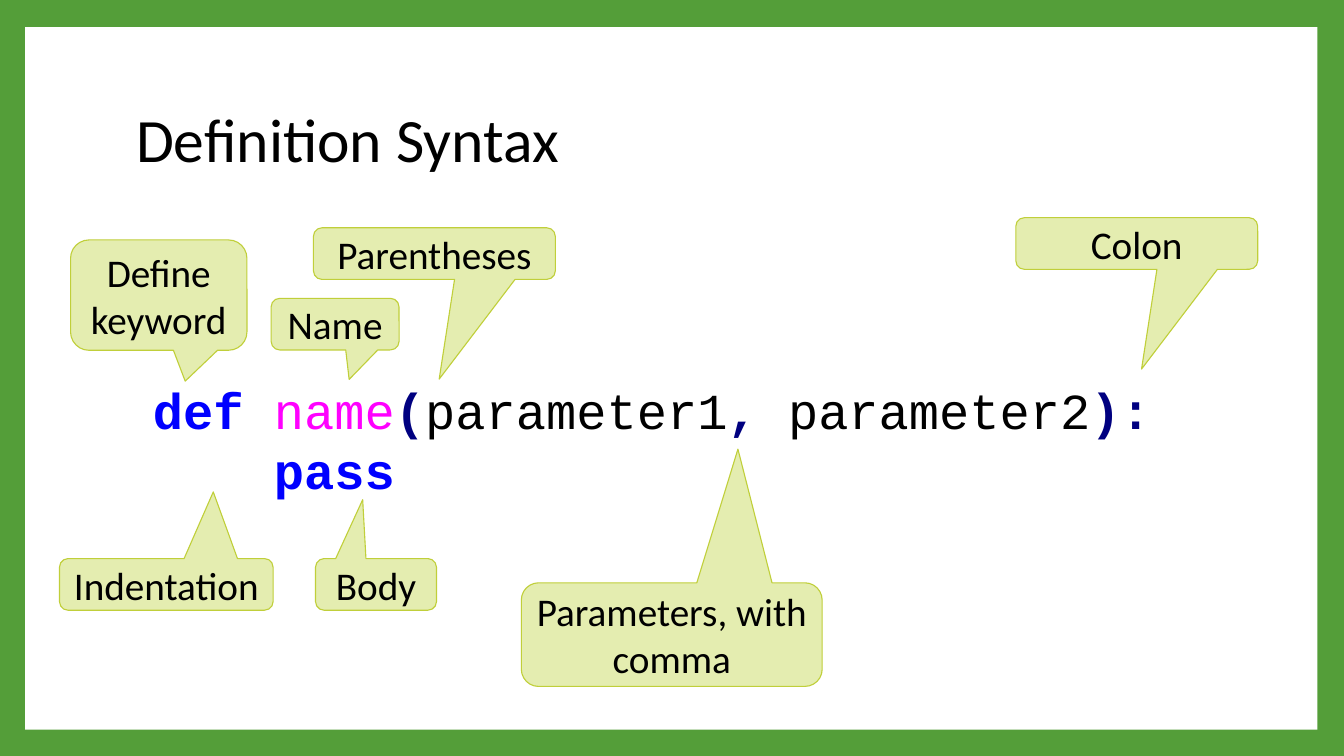
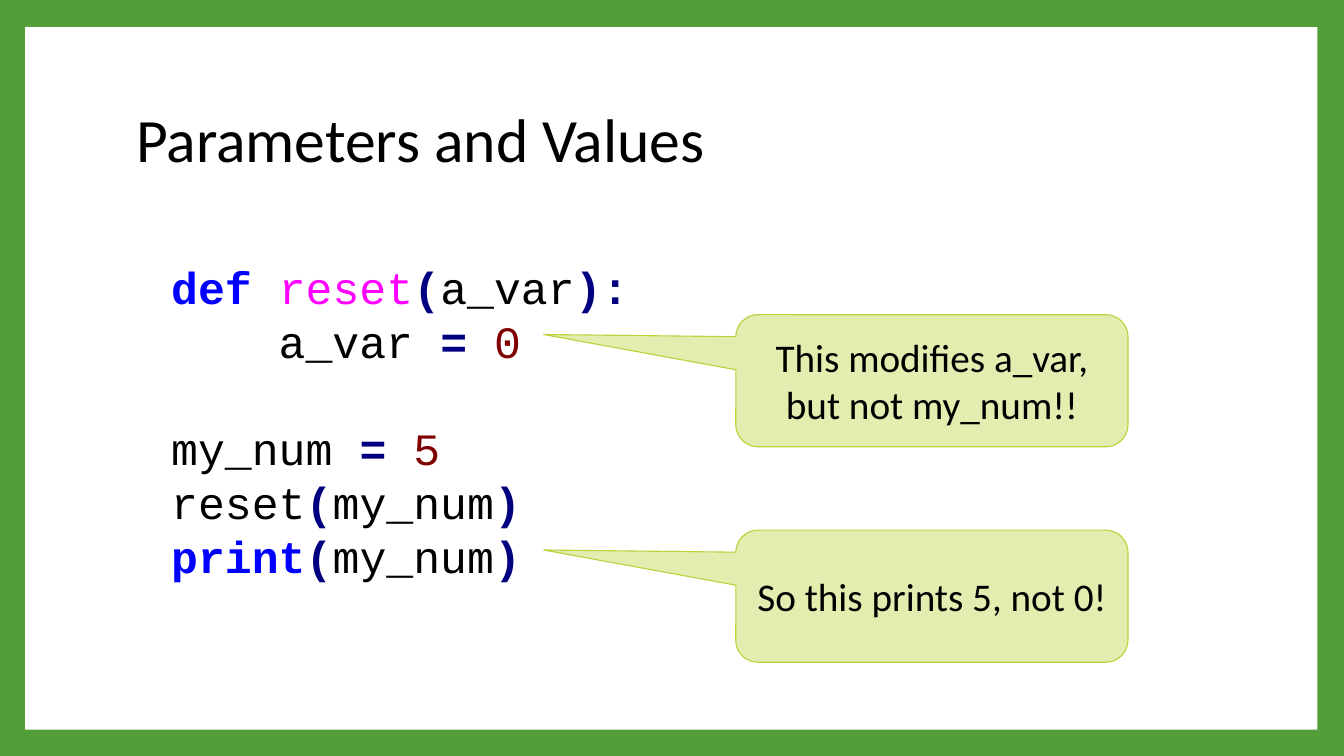
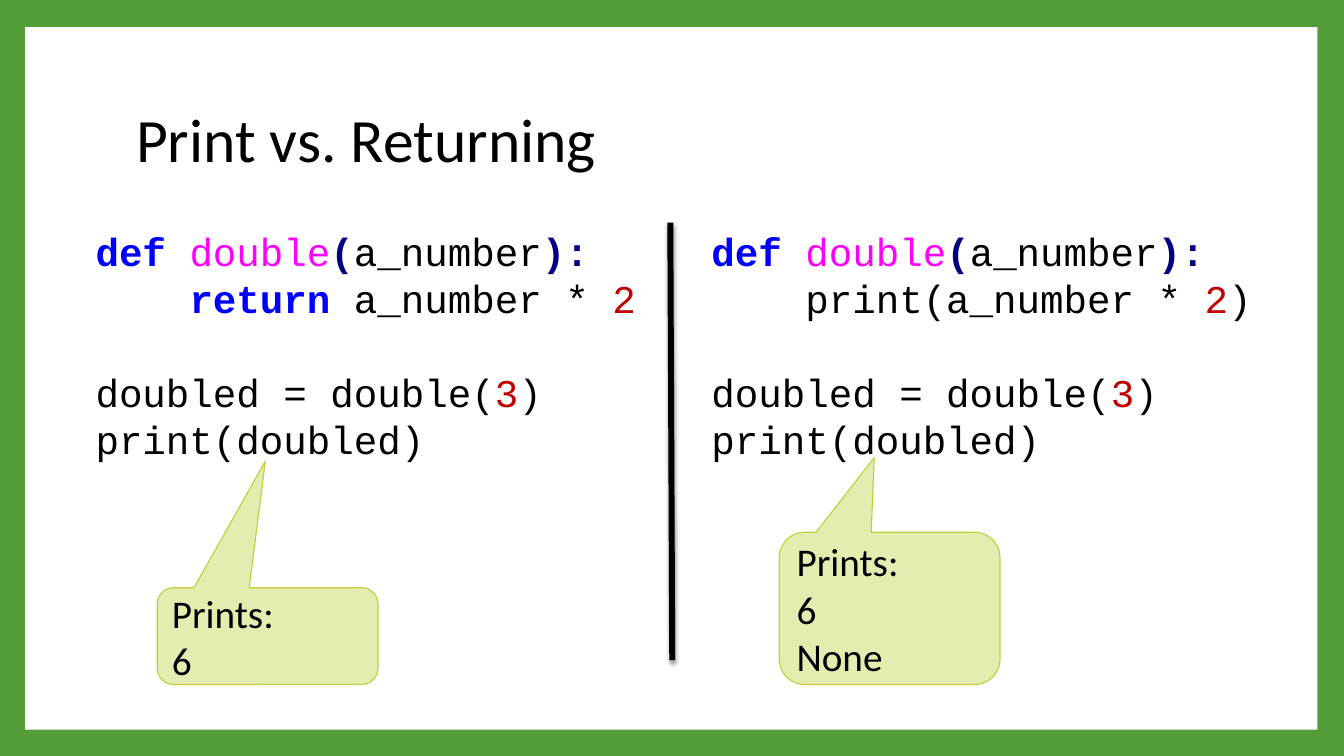
from lxml import etree
from pptx import Presentation
from pptx.dml.color import RGBColor
from pptx.enum import shapes, text
from pptx.oxml import parse_xml
from pptx.util import Pt

GREEN = RGBColor(0x54, 0x9E, 0x39)
PALE_GREEN = RGBColor(0xE4, 0xED, 0xB0)
LIME = RGBColor(0xC0, 0xCF, 0x3A)
WHITE = RGBColor(0xFF, 0xFF, 0xFF)
BLACK = RGBColor(0x00, 0x00, 0x00)
BLUE = RGBColor(0x00, 0x00, 0xFF)
MAGENTA = RGBColor(0xFF, 0x00, 0xFF)
NAVY = RGBColor(0x00, 0x00, 0x80)
MAROON = RGBColor(0x80, 0x00, 0x00)
RED = RGBColor(0xC0, 0x00, 0x00)

CODE_FONT = "Courier New"
CODE_LINE_HEIGHT = 1.19
LEFT, CENTER = text.PP_ALIGN.LEFT, text.PP_ALIGN.CENTER


def write(frame, lines, size=28, font="Calibri", align=LEFT, spacing=None):
    """Write lines of (text, colour) spans; navy and blue are bold, an empty line is a gap."""
    frame.word_wrap = True
    gap, first = 0, True
    for line in lines:
        if not line:
            gap = size * CODE_LINE_HEIGHT
            continue
        para = frame.paragraphs[0] if first else frame.add_paragraph()
        first = False
        para.alignment = align
        para.line_spacing = spacing
        para.space_before = Pt(gap)
        gap = 0
        for words, colour in line:
            span = para.add_run()
            span.text = words
            span.font.name = font
            span.font.size = Pt(size)
            span.font.bold = colour in (BLUE, NAVY)
            span.font.color.rgb = colour


def add_callout(page, words, place, tip, align=CENTER):
    """Add a speech bubble; tip is the offset from its centre as a share of its size."""
    bubble = page.shapes.add_shape(
        shapes.MSO_SHAPE.ROUNDED_RECTANGULAR_CALLOUT, *map(Pt, place))
    bubble.adjustments[0], bubble.adjustments[1] = tip
    bubble.shadow.inherit = False
    bubble.fill.solid()
    bubble.fill.fore_color.rgb = PALE_GREEN
    bubble.line.color.rgb = LIME
    bubble.line.width = Pt(0.79)
    bubble.text_frame.vertical_anchor = text.MSO_ANCHOR.MIDDLE
    write(bubble.text_frame, [[(line, BLACK)] for line in words.split("\n")], align=align)


deck = Presentation()
deck.slide_width, deck.slide_height = Pt(960), Pt(540)

# Shared look: green frame, white panel, title place
background = deck.slide_master.background.fill
background.solid()
background.fore_color.rgb = GREEN
layout = deck.slide_layouts.get_by_name("Title Only")
heading = layout.placeholders[0]
heading.left, heading.top, heading.width, heading.height = map(Pt, (90, 48.2, 777.6, 106.6))

pages = []
for title in ("Definition Syntax", "Parameters and Values", "Print vs. Returning"):
    page = deck.slides.add_slide(layout)
    page.shapes.title.text_frame.vertical_anchor = text.MSO_ANCHOR.MIDDLE
    write(page.shapes.title.text_frame, [[(title, BLACK)]], size=44, spacing=0.9)
    pages.append(page)
syntax_page, values_page, return_page = pages

panel = syntax_page.shapes.add_shape(
    shapes.MSO_SHAPE.RECTANGLE, Pt(18), Pt(19.4), Pt(923), Pt(501.8))
panel.shadow.inherit = False
panel.fill.solid()
panel.fill.fore_color.rgb = WHITE
panel.line.fill.background()
layout.shapes.element.insert(2, panel.element)  # moves the panel to the layout

# Code listings
syntax_code = [
    [("def", BLUE), (" ", BLACK), ("name", MAGENTA), ("(", NAVY), ("parameter1", BLACK),
     (",", NAVY), (" parameter2", BLACK), ("):", NAVY)],
    [("    ", BLACK), ("pass", BLUE)],
]
values_code = [
    [("def ", BLUE), ("reset", MAGENTA), ("(", NAVY), ("a_var", BLACK), ("):", NAVY)],
    [("    a_var ", BLACK), ("= ", NAVY), ("0", MAROON)],
    [],
    [("my_num ", BLACK), ("= ", NAVY), ("5", MAROON)],
    [("reset", BLACK), ("(", NAVY), ("my_num", BLACK), (")", NAVY)],
    [("print", BLUE), ("(", NAVY), ("my_num", BLACK), (")", NAVY)],
]
double_head = [("def", BLUE), (" ", BLACK), ("double", MAGENTA), ("(", NAVY),
               ("a_number", BLACK), ("):", NAVY)]
double_calls = [
    [],
    [("doubled = double(", BLACK), ("3", RED), (")", BLACK)],
    [("print(doubled)", BLACK)],
]
return_body = [("    ", BLACK), ("return ", BLUE), ("a_number * ", BLACK), ("2", RED)]
print_body = [("    print(a_number * ", BLACK), ("2", RED), (")", BLACK)]

for page, code, size, place in (
    (syntax_page, syntax_code, 36, (102.2, 267.1, 756, 94.3)),
    (values_page, values_code, 32, (115.2, 182.2, 480.2, 239.8)),
    (return_page, [double_head, return_body, *double_calls], 28, (61.2, 159.1, 440, 177.1)),
    (return_page, [double_head, print_body, *double_calls], 28, (501.1, 159.1, 440, 177.1)),
):
    box = page.shapes.add_textbox(*map(Pt, place))
    write(box.text_frame, code, size=size, font=CODE_FONT)

# Definition Syntax: labels around the code
for words, place, tip in (
    ("Define keyword", (50.4, 171.4, 126, 78.8), (0.15, 0.78)),
    ("Name", (193.7, 213.1, 91.4, 36.9), (0.11, 1.07)),
    ("Parentheses", (223.9, 162.7, 172.8, 36.9), (0.02, 2.43)),
    ("Colon", (725.6, 155.5, 172.8, 36.9), (0.02, 2.43)),
    ("Body", (225.4, 399, 86.4, 36.9), (-0.11, -1.64)),
    ("Parameters, with comma", (372.4, 416.3, 214.9, 74), (0.22, -1.79)),
    ("Indentation", (42.5, 399, 152.6, 36.9), (0.22, -1.79)),
):
    add_callout(syntax_page, words, place, tip)

# Parameters and Values: remarks on two lines of code
for words, top in (("This modifies a_var, but not my_num!!", 224.8),
                   ("So this prints 5, not 0!", 378.7)):
    add_callout(values_page, words, (525.6, top, 280.1, 94.3), (-0.99, -0.35))

# Print vs. Returning: divider and results
divider = return_page.shapes.add_connector(
    shapes.MSO_CONNECTOR.STRAIGHT, Pt(478.8), Pt(159.1), Pt(480.2), Pt(471.6))
divider.line.color.rgb = BLACK
divider.line.width = Pt(4.25)
shadow = parse_xml(
    '<a:effectLst xmlns:a="http://schemas.openxmlformats.org/drawingml/2006/main">'
    '<a:outerShdw blurRad="38100" dist="25400" dir="5400000" rotWithShape="0">'
    '<a:srgbClr val="000000"><a:alpha val="45000"/></a:srgbClr>'
    '</a:outerShdw></a:effectLst>')
divider.element.spPr.append(shadow)

add_callout(return_page, "Prints:\n6", (112.3, 419.8, 157.7, 69.1), (-0.01, -1.81), align=LEFT)
add_callout(return_page, "Prints:\n6\nNone", (556.6, 380.2, 157.7, 108.7), (-0.07, -0.99),
            align=LEFT)

deck.save("out.pptx")
